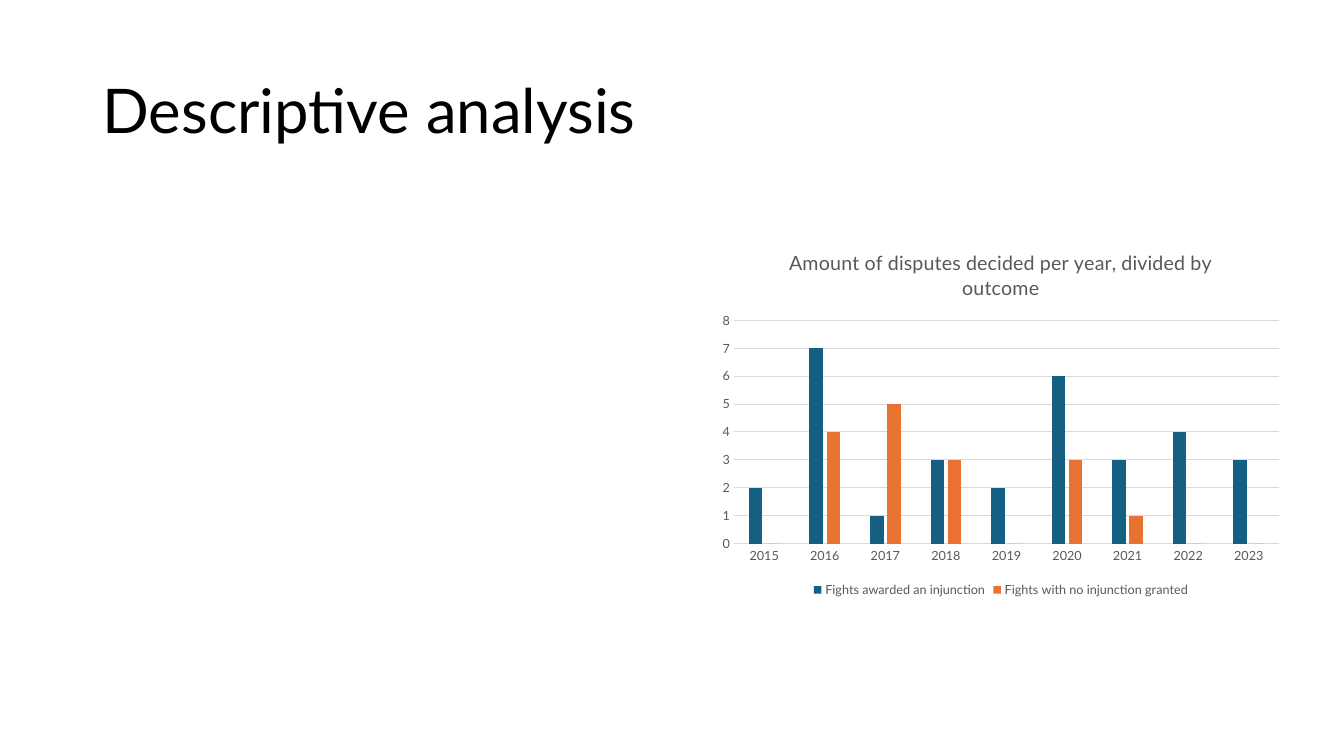
"""Build the descriptive analysis slide with its chart of disputes per year."""
from pptx import Presentation
from pptx.chart.data import CategoryChartData
from pptx.dml.color import RGBColor
from pptx.enum.chart import XL_CHART_TYPE, XL_LEGEND_POSITION, XL_TICK_MARK
from pptx.enum.text import MSO_ANCHOR, PP_ALIGN
from pptx.oxml import parse_xml
from pptx.oxml.ns import nsdecls, qn
from pptx.util import Pt

FONT = "Lato"
BLACK = RGBColor(0x00, 0x00, 0x00)
WHITE = RGBColor(0xFF, 0xFF, 0xFF)
GREY = RGBColor(0x59, 0x59, 0x59)
LIGHT_GREY = RGBColor(0xD9, 0xD9, 0xD9)
BLUE = RGBColor(0x15, 0x60, 0x82)
ORANGE = RGBColor(0xE9, 0x71, 0x32)

YEARS = [str(year) for year in range(2015, 2024)]
OUTCOMES = [
    ("Fights awarded an injunction", (2, 7, 1, 3, 2, 6, 3, 4, 3), BLUE),
    ("Fights with no injunction granted", (0, 4, 5, 3, 0, 3, 1, 0, 0), ORANGE),
]


def set_font(font, size, color):
    font.name = FONT
    font.size = Pt(size)
    font.bold = False
    font.color.rgb = color


def set_line(line, color):
    line.color.rgb = color
    line.width = Pt(0.75)


def add_title(slide, text):
    sp = slide.shapes.title
    sp.left, sp.top, sp.width, sp.height = Pt(66), Pt(28.75), Pt(828), Pt(104.4)
    tf = sp.text_frame
    tf.text = text
    tf.word_wrap = True
    tf.vertical_anchor = MSO_ANCHOR.MIDDLE
    p = tf.paragraphs[0]
    p.alignment = PP_ALIGN.LEFT
    p.line_spacing = 0.9
    set_font(p.font, 44, BLACK)


def fill_chart_area(chart, color):
    sp_pr = parse_xml(
        f'<c:spPr {nsdecls("c", "a")}><a:solidFill><a:srgbClr val="{color}"/></a:solidFill>'
        "<a:ln><a:noFill/></a:ln></c:spPr>"
    )
    chart.font
    chart.element.find(qn("c:txPr")).addprevious(sp_pr)


def format_axes(chart):
    for axis in (chart.category_axis, chart.value_axis):
        axis.major_tick_mark = axis.minor_tick_mark = XL_TICK_MARK.NONE
        set_font(axis.tick_labels.font, 9, GREY)
    set_line(chart.category_axis.format.line, LIGHT_GREY)
    values = chart.value_axis
    values.minimum_scale, values.maximum_scale, values.major_unit = 0, 8, 1
    values.format.line.fill.background()
    values.has_major_gridlines = True
    set_line(values.major_gridlines.format.line, LIGHT_GREY)


def add_column_chart(slide, title):
    data = CategoryChartData()
    data.categories = YEARS
    for name, counts, _ in OUTCOMES:
        data.add_series(name, counts)
    chart = slide.shapes.add_chart(
        XL_CHART_TYPE.COLUMN_CLUSTERED, Pt(507.9), Pt(165.9), Pt(414), Pt(264), data
    ).chart
    set_font(chart.font, 10, BLACK)
    fill_chart_area(chart, WHITE)

    chart.has_title = True
    tf = chart.chart_title.text_frame
    tf.text = title
    set_font(tf.paragraphs[0].font, 14, GREY)
    chart.chart_title.include_in_layout = False

    chart.has_legend = True
    chart.legend.position = XL_LEGEND_POSITION.BOTTOM
    chart.legend.include_in_layout = False
    set_font(chart.legend.font, 9, GREY)

    format_axes(chart)
    plot = chart.plots[0]
    plot.gap_width, plot.overlap = 219, -27
    plot.vary_by_categories = False
    for series, (_, _, color) in zip(plot.series, OUTCOMES):
        series.format.fill.solid()
        series.format.fill.fore_color.rgb = color
        series.invert_if_negative = False


def main():
    prs = Presentation()
    prs.slide_width, prs.slide_height = Pt(960), Pt(540)
    slide = prs.slides.add_slide(prs.slide_layouts[5])
    slide.background.fill.solid()
    slide.background.fill.fore_color.rgb = WHITE
    add_title(slide, "Descriptive analysis")
    add_column_chart(slide, "Amount of disputes decided per year, divided by outcome")
    prs.save("out.pptx")


if __name__ == "__main__":
    main()
